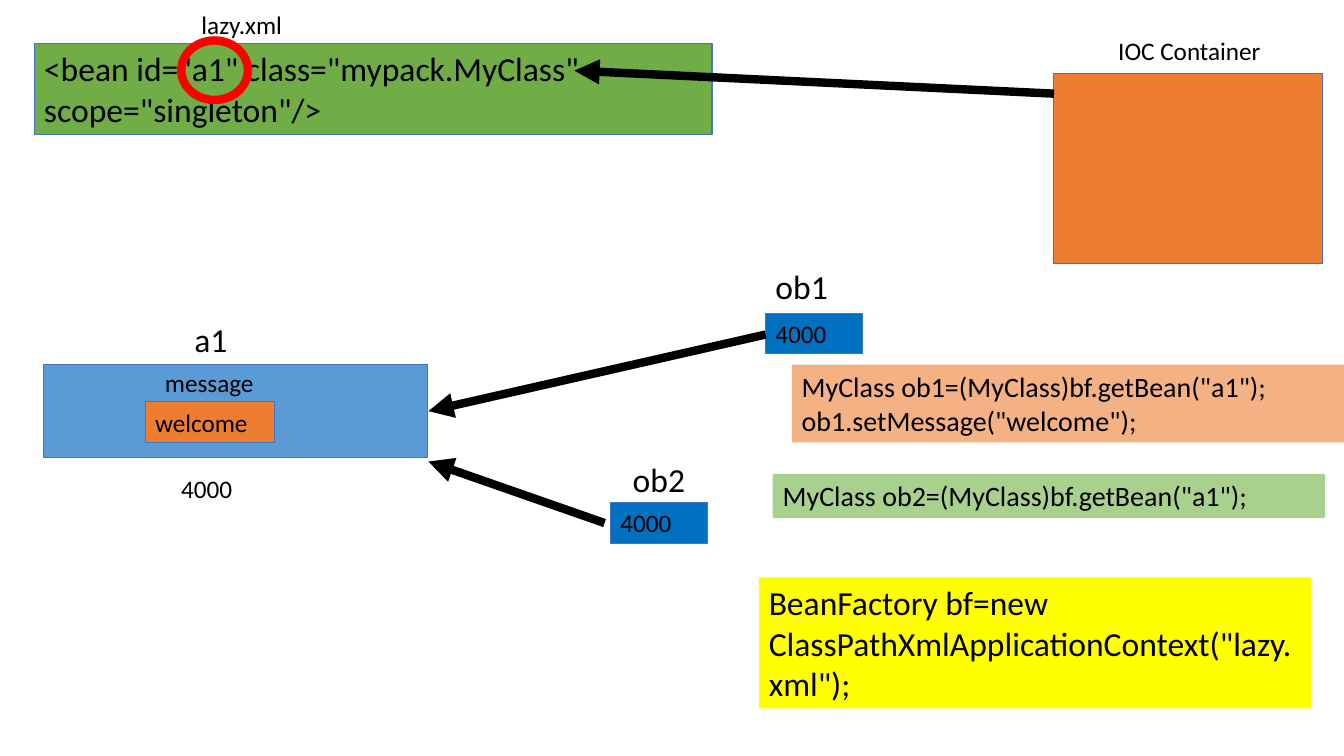
import dataclasses

import pptx
import pptx.dml.color
import pptx.enum.shapes
import pptx.enum.text
import pptx.oxml
import pptx.oxml.ns
import pptx.util

Cm = pptx.util.Cm
Pt = pptx.util.Pt
SHAPES = pptx.enum.shapes.MSO_SHAPE


@dataclasses.dataclass(frozen=True)
class Theme:
    font: str = "Calibri"
    ink: str = "000000"
    outline: str = "4472C4"
    green: str = "70AD47"
    orange: str = "ED7D31"
    bean: str = "5B9BD5"
    reference: str = "0070C0"
    yellow: str = "FFFF00"
    peach: str = "F4B183"
    mint: str = "A9D18E"
    red: str = "FF0000"
    small: int = 18
    code: int = 20
    large: int = 24
    thin: float = 0.75
    thick: float = 6


def apply(target, values):
    for name, value in values.items():
        setattr(target, name, value)


def color(value):
    return pptx.dml.color.RGBColor.from_string(value)


class Diagram:
    def __init__(self, slide, theme):
        self.slide = slide
        self.theme = theme

    def fill_text(self, shape, text, size):
        frame = shape.text_frame
        apply(frame, {
            "text": text,
            "word_wrap": True,
            "vertical_anchor": pptx.enum.text.MSO_ANCHOR.TOP,
        })
        for paragraph in frame.paragraphs:
            paragraph.alignment = pptx.enum.text.PP_ALIGN.LEFT
            for run in paragraph.runs:
                apply(run.font, {"name": self.theme.font, "size": Pt(size)})
                run.font.color.rgb = color(self.theme.ink)

    def stroke(self, line, value, width):
        line.color.rgb = color(value)
        line.width = Pt(width)

    def label(self, bounds, text, size):
        box = self.slide.shapes.add_textbox(*map(Cm, bounds))
        self.fill_text(box, text, size)

    def box(self, bounds, fill, text="", size=None, outlined=True):
        box = self.slide.shapes.add_shape(SHAPES.RECTANGLE, *map(Cm, bounds))
        box.shadow.inherit = False
        box.fill.solid()
        box.fill.fore_color.rgb = color(fill)
        if outlined:
            self.stroke(box.line, self.theme.outline, self.theme.thin)
        else:
            box.line.fill.background()
        if text:
            self.fill_text(box, text, size)

    def ring(self, bounds):
        ring = self.slide.shapes.add_shape(SHAPES.OVAL, *map(Cm, bounds))
        ring.shadow.inherit = False
        ring.fill.background()
        self.stroke(ring.line, self.theme.red, self.theme.thick)

    def arrow(self, start, end):
        arrow = self.slide.shapes.add_connector(
            pptx.enum.shapes.MSO_CONNECTOR.STRAIGHT, *map(Cm, start + end))
        self.stroke(arrow.line, self.theme.ink, self.theme.thick)
        namespace = pptx.oxml.ns.nsdecls("a")
        properties = arrow.element.spPr
        properties.find(pptx.oxml.ns.qn("a:ln")).append(
            pptx.oxml.parse_xml(f'<a:tailEnd {namespace} type="triangle"/>'))
        properties.append(pptx.oxml.parse_xml(f'<a:effectLst {namespace}/>'))


theme = Theme()
deck = pptx.Presentation()
apply(deck, {"slide_width": Cm(33.88), "slide_height": Cm(19.05)})
diagram = Diagram(deck.slides.add_slide(deck.slide_layouts[6]), theme)

diagram.box((0.86, 1.09, 17.09, 2.29), theme.green,
            '<bean id="a1" class="mypack.MyClass" scope="singleton"/>', theme.large)
diagram.label((4.83, 0.1, 4.5, 1.02), "lazy.xml", theme.small)

diagram.box((26.57, 1.85, 6.76, 4.8), theme.orange)
diagram.label((27.94, 0.76, 4.5, 1.02), "IOC Container", theme.small)

diagram.box((1.09, 9.19, 9.7, 2.34), theme.bean)
diagram.label((4.65, 7.9, 1.88, 1.27), "a1", theme.large)
diagram.box((3.66, 10.13, 3.25, 1.02), theme.orange, "welcome", theme.small)
diagram.label((3.91, 9.14, 2.79, 1.02), "message", theme.small)
diagram.label((4.32, 11.81, 1.93, 1.02), "4000", theme.small)

code_width = 13.92
for left, top, height, fill, code, size in (
    (19.13, 14.55, 3.3, theme.yellow,
     'BeanFactory bf=new ClassPathXmlApplicationContext("lazy.xml");', theme.large),
    (19.96, 9.19, 1.96, theme.peach,
     'MyClass ob1=(MyClass)bf.getBean("a1");\nob1.setMessage("welcome");', theme.code),
    (19.48, 11.94, 1.12, theme.mint,
     'MyClass ob2=(MyClass)bf.getBean("a1");', theme.code),
):
    diagram.box((left, top, code_width, height), fill, code, size, outlined=False)

for name, name_at, address_at in (
    ("ob1", (19.3, 6.58), (19.3, 7.9)),
    ("ob2", (15.7, 11.43), (15.39, 12.67)),
):
    diagram.box(address_at + (2.44, 1.02), theme.reference, "4000", theme.small)
    diagram.label(name_at + (2.44, 1.27), name, theme.large)

for start, end in (
    ((19.3, 8.43), (10.8, 10.36)),
    ((26.57, 2.36), (14.48, 1.78)),
    ((15.24, 13.18), (10.8, 11.63)),
):
    diagram.arrow(start, end)
diagram.ring((4.57, 1.02, 1.68, 1.5))

deck.save("out.pptx")
